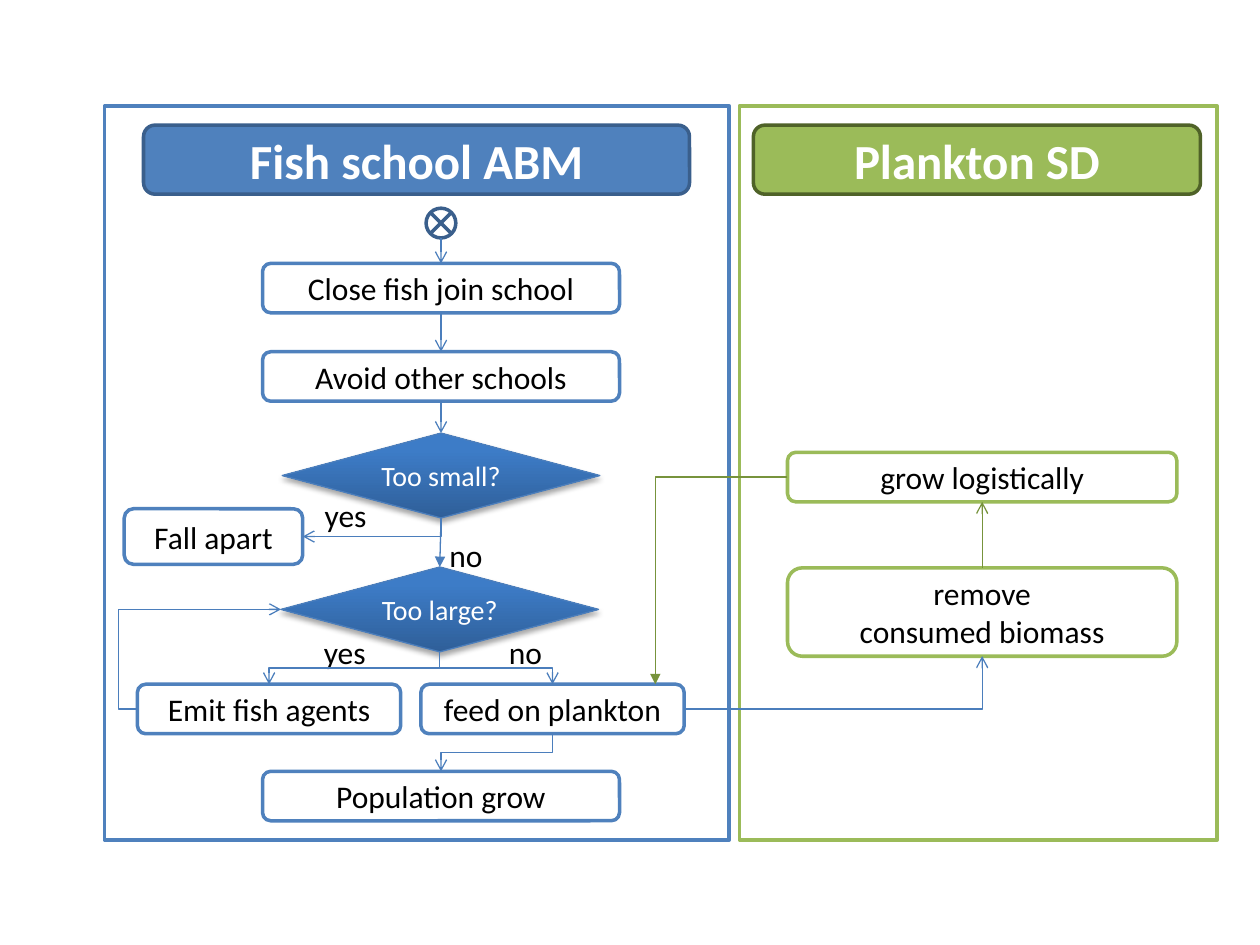
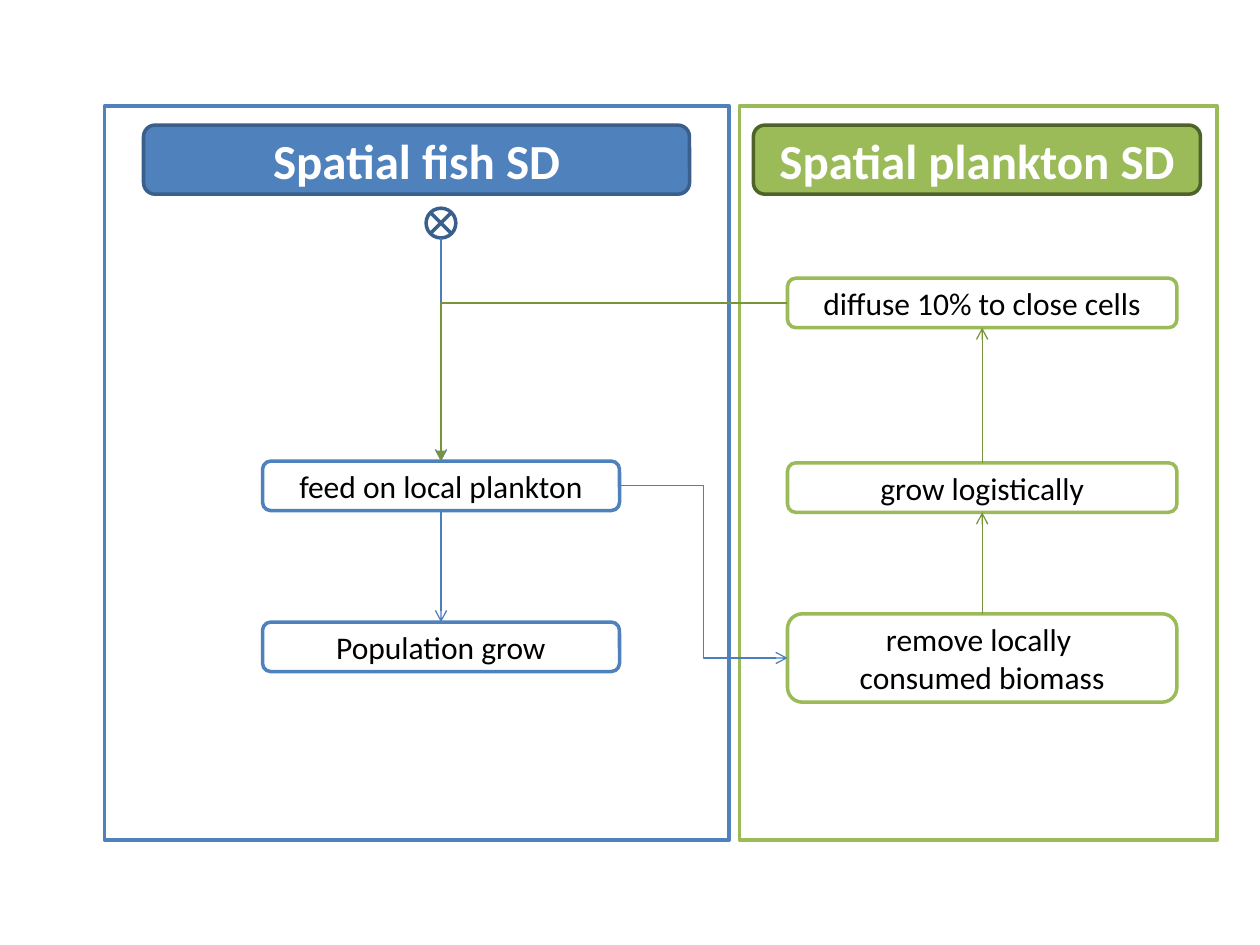
from dataclasses import dataclass

from lxml.etree import SubElement
from pptx import Presentation
from pptx.dml.color import RGBColor
from pptx.enum.shapes import MSO_CONNECTOR, MSO_SHAPE
from pptx.enum.text import MSO_ANCHOR, PP_ALIGN
from pptx.oxml.ns import qn
from pptx.util import Pt


@dataclass(frozen=True)
class Theme:
    """Colours, font, type sizes and line widths of both slides."""
    blue: str = "4F81BD"
    dark_blue: str = "3A5F8C"
    blue_arrow: str = "4B7EBC"
    green: str = "9BBB59"
    dark_green: str = "4F6228"
    green_arrow: str = "77933C"
    shade: tuple = ("2F5F99", "3D7CC7")
    white: str = "FFFFFF"
    black: str = "000000"
    font: str = "Calibri"
    title: int = 28
    body: int = 18
    decision: int = 16
    border: float = 2
    thin: float = 0.75


T = Theme()


def add_box(s, kind, box, line, text="", fill=T.white, size=T.body,
            color=T.black, bold=False, width=T.border):
    """Add an outlined shape with centred text; box is left, top, width, height."""
    sp = s.shapes.add_shape(kind, *[Pt(v) for v in box])
    sp.shadow.inherit = False
    sp.line.color.rgb = RGBColor.from_string(line)
    sp.line.width = Pt(width)
    if fill:
        sp.fill.solid()
        sp.fill.fore_color.rgb = RGBColor.from_string(fill)
    else:
        sp.fill.background()
    tf = sp.text_frame
    tf.text = text
    tf.vertical_anchor = MSO_ANCHOR.MIDDLE
    p = tf.paragraphs[0]
    p.alignment = PP_ALIGN.CENTER
    for r in p.runs:
        r.font.name, r.font.size, r.font.bold = T.font, Pt(size), bold
        r.font.color.rgb = RGBColor.from_string(color)
    return sp


def add_arrow(s, start, end, route="line", color=T.blue_arrow, head="arrow", bend=0.5):
    """Add an arrow; route names its legs: line, HV, VH, HVH or VHV (V first runs down)."""
    (x1, y1), (x2, y2) = start, end
    if route.startswith("V"):
        # Lay the connector on its side about its centre; the turn below stands it up.
        cx, cy = (x1 + x2) / 2, (y1 + y2) / 2
        dx, dy = abs(x2 - x1) / 2, (y2 - y1) / 2
        side = 1 if x2 < x1 else -1
        x1, x2, y1, y2 = cx - side * dy, cx + side * dy, cy - dx, cy + dx
    kind = MSO_CONNECTOR.STRAIGHT if route == "line" else MSO_CONNECTOR.ELBOW
    c = s.shapes.add_connector(kind, Pt(x1), Pt(y1), Pt(x2), Pt(y2))
    c.line.color.rgb = RGBColor.from_string(color)
    c.line.width = Pt(T.thin)
    props = c._element.spPr
    if route.startswith("V"):
        props.find(qn("a:xfrm")).set("rot", str((90 if side == 1 else 270) * 60000))
    geom = props.find(qn("a:prstGeom"))
    if len(route) == 2:
        geom.set("prst", "bentConnector2")
    elif route != "line":
        SubElement(geom.find(qn("a:avLst")), qn("a:gd"), name="adj1",
                   fmla=f"val {round(bend * 100000)}")
    SubElement(props.find(qn("a:ln")), qn("a:tailEnd"), type=head)
    SubElement(props, qn("a:effectLst"))


prs = Presentation()
prs.slide_width, prs.slide_height = Pt(720), Pt(540)

STEP = MSO_SHAPE.FLOWCHART_ALTERNATE_PROCESS
FISH_X, PLANKTON_X = 252, 561.25       # centre lines of the two columns
FISH_LEFT, FISH_W = 150, 204
PLANKTON_LEFT, PLANKTON_W = 450, 222.5
STEP_H, TALL_H = 28.3, 50.5
START_END = 136

# Frames, titles and the start mark are the same on both slides
slides = []
for fish_title, plankton_title in (("Fish school ABM", "Plankton SD"),
                                   ("Spatial fish SD", "Spatial plankton SD")):
    s = prs.slides.add_slide(prs.slide_layouts[6])
    slides.append(s)
    for title, frame_x, frame_w, title_x, title_w, fill, edge in (
            (fish_title, 59.75, 357, 82, 312, T.blue, T.dark_blue),
            (plankton_title, 422.5, 273, 430.5, 255.5, T.green, T.dark_green)):
        add_box(s, MSO_SHAPE.RECTANGLE, (frame_x, 60.5, frame_w, 419.5), fill, fill=None)
        add_box(s, MSO_SHAPE.ROUNDED_RECTANGLE, (title_x, 71.5, title_w, 39.5), edge, title,
                fill=fill, size=T.title, color=T.white, bold=True)
    add_box(s, MSO_SHAPE.FLOWCHART_SUMMING_JUNCTION,
            (FISH_X - 8.5, START_END - 17, 17, 17), T.dark_blue)
school, spatial = slides

# Slide 1: agent-based fish schools
JOIN_Y, AVOID_Y, SMALL_Y, LARGE_Y = 150.5, 201, 247.5, 324
FEED_Y, POP_Y, GROW_Y, REMOVE_Y = 391, 440.75, 258.5, 324.5
DECISION_W, DECISION_H = 181.5, 48.5
LARGE_X = 251.3
BRANCH_W, EMIT_LEFT, FEED_LEFT = 150.5, 78.5, 240.5
EMIT_X, FEED_X = EMIT_LEFT + BRANCH_W / 2, FEED_LEFT + BRANCH_W / 2
FEED_MID = FEED_Y + STEP_H / 2

for text, box in (
        ("Close fish join school", (FISH_LEFT, JOIN_Y, FISH_W, STEP_H)),
        ("Avoid other schools", (FISH_LEFT, AVOID_Y, FISH_W, STEP_H)),
        ("Fall apart", (71, 290.75, 102, 31.75)),
        ("Emit fish agents", (EMIT_LEFT, FEED_Y, BRANCH_W, STEP_H)),
        ("feed on plankton", (FEED_LEFT, FEED_Y, BRANCH_W, STEP_H)),
        ("Population grow", (FISH_LEFT, POP_Y, FISH_W, STEP_H))):
    add_box(school, STEP, box, T.blue, text)

for text, y, h in (("grow logistically", GROW_Y, STEP_H),
                   ("remove\vconsumed biomass", REMOVE_Y, TALL_H)):
    add_box(school, STEP, (PLANKTON_LEFT, y, PLANKTON_W, h), T.green, text)

for text, x, y in (("Too small?", FISH_X, SMALL_Y), ("Too large?", LARGE_X, LARGE_Y)):
    sp = add_box(school, MSO_SHAPE.FLOWCHART_DECISION,
                 (x - DECISION_W / 2, y, DECISION_W, DECISION_H), T.blue_arrow, text,
                 size=T.decision, color=T.white, width=T.thin)
    sp.fill.gradient()
    sp.fill.gradient_angle = 90
    for stop, shade, position in zip(sp.fill.gradient_stops, T.shade, (0, 0.8)):
        stop.color.rgb = RGBColor.from_string(shade)
        stop.position = position
    shadow = SubElement(sp._element.spPr.find(qn("a:effectLst")), qn("a:outerShdw"),
                        blurRad=str(Pt(3.1)), dist=str(Pt(1.8)), dir="5400000",
                        rotWithShape="0")
    tint = SubElement(shadow, qn("a:srgbClr"), val=T.black)
    SubElement(tint, qn("a:alpha"), val="35000")

for text, x, y in (("yes", 178.5, 280), ("no", 249.75, 302.5),
                   ("yes", 178, 358), ("no", 283.75, 358)):
    tf = school.shapes.add_textbox(Pt(x), Pt(y), Pt(58.5), Pt(29)).text_frame
    tf.word_wrap = True
    tf.text = text
    r = tf.paragraphs[0].runs[0]
    r.font.name, r.font.size = T.font, Pt(T.body)
    r.font.color.rgb = RGBColor.from_string(T.black)

small_end, large_end = SMALL_Y + DECISION_H, LARGE_Y + DECISION_H
for top, bottom in ((START_END, JOIN_Y), (JOIN_Y + STEP_H, AVOID_Y),
                    (AVOID_Y + STEP_H, SMALL_Y)):
    add_arrow(school, (FISH_X, top), (FISH_X, bottom))
add_arrow(school, (FISH_X, small_end), (173, 306.6), "VH")
add_arrow(school, (FISH_X, small_end), (LARGE_X, LARGE_Y), head="triangle")
for x in (EMIT_X, FEED_X):
    add_arrow(school, (LARGE_X, large_end), (x, FEED_Y), "VHV")
add_arrow(school, (EMIT_LEFT, FEED_MID),
          (LARGE_X - DECISION_W / 2, LARGE_Y + DECISION_H / 2), "HVH", bend=-0.13)
add_arrow(school, (FEED_X, FEED_Y + STEP_H), (FISH_X, POP_Y), "VHV")
add_arrow(school, (FEED_LEFT + BRANCH_W, FEED_MID), (PLANKTON_X, REMOVE_Y + TALL_H), "HV")
add_arrow(school, (PLANKTON_X, REMOVE_Y), (PLANKTON_X, GROW_Y + STEP_H), color=T.green_arrow)
add_arrow(school, (PLANKTON_LEFT, GROW_Y + STEP_H / 2), (374.5, FEED_Y), "HV",
          T.green_arrow, "triangle")

# Slide 2: spatial system dynamics
FEED_Y, POP_Y = 263.5, 355.5
DIFFUSE_Y, GROW_Y, REMOVE_Y = 159, 264.5, 350.75

for text, y in (("feed on local plankton", FEED_Y), ("Population grow", POP_Y)):
    add_box(spatial, STEP, (FISH_LEFT, y, FISH_W, STEP_H), T.blue, text)
for text, y, h in (("diffuse 10% to close cells", DIFFUSE_Y, STEP_H),
                   ("grow logistically", GROW_Y, STEP_H),
                   ("remove locally \vconsumed biomass", REMOVE_Y, TALL_H)):
    add_box(spatial, STEP, (PLANKTON_LEFT, y, PLANKTON_W, h), T.green, text)

for top, bottom in ((START_END, FEED_Y), (FEED_Y + STEP_H, POP_Y)):
    add_arrow(spatial, (FISH_X, top), (FISH_X, bottom))
for bottom, top in ((REMOVE_Y, GROW_Y), (GROW_Y, DIFFUSE_Y)):
    add_arrow(spatial, (PLANKTON_X, bottom), (PLANKTON_X, top + STEP_H), color=T.green_arrow)
add_arrow(spatial, (FISH_LEFT + FISH_W, FEED_Y + STEP_H / 2),
          (PLANKTON_LEFT, REMOVE_Y + TALL_H / 2), "HVH")
add_arrow(spatial, (PLANKTON_LEFT, DIFFUSE_Y + STEP_H / 2), (FISH_X, FEED_Y), "HV",
          T.green_arrow, "triangle")

prs.save("out.pptx")
